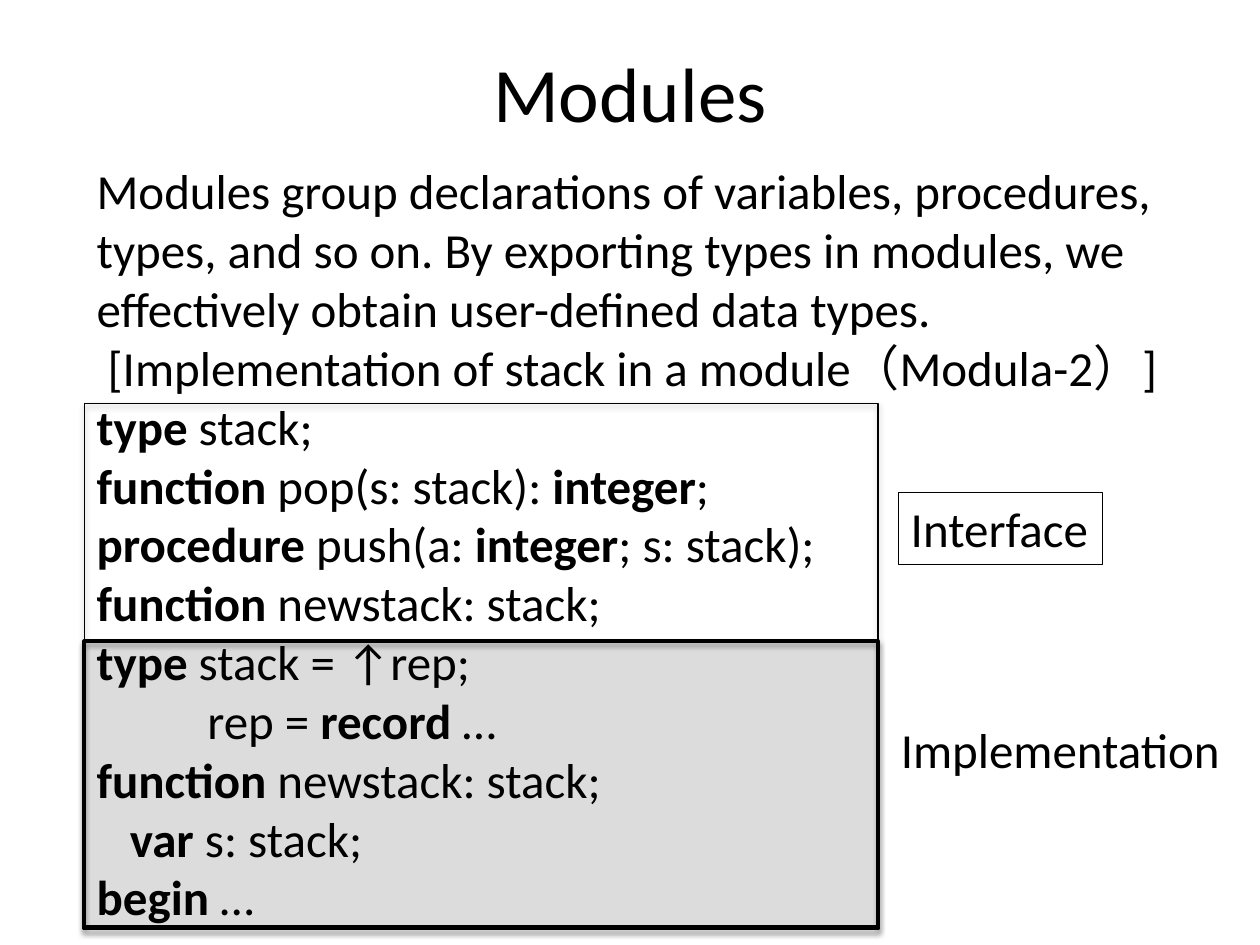
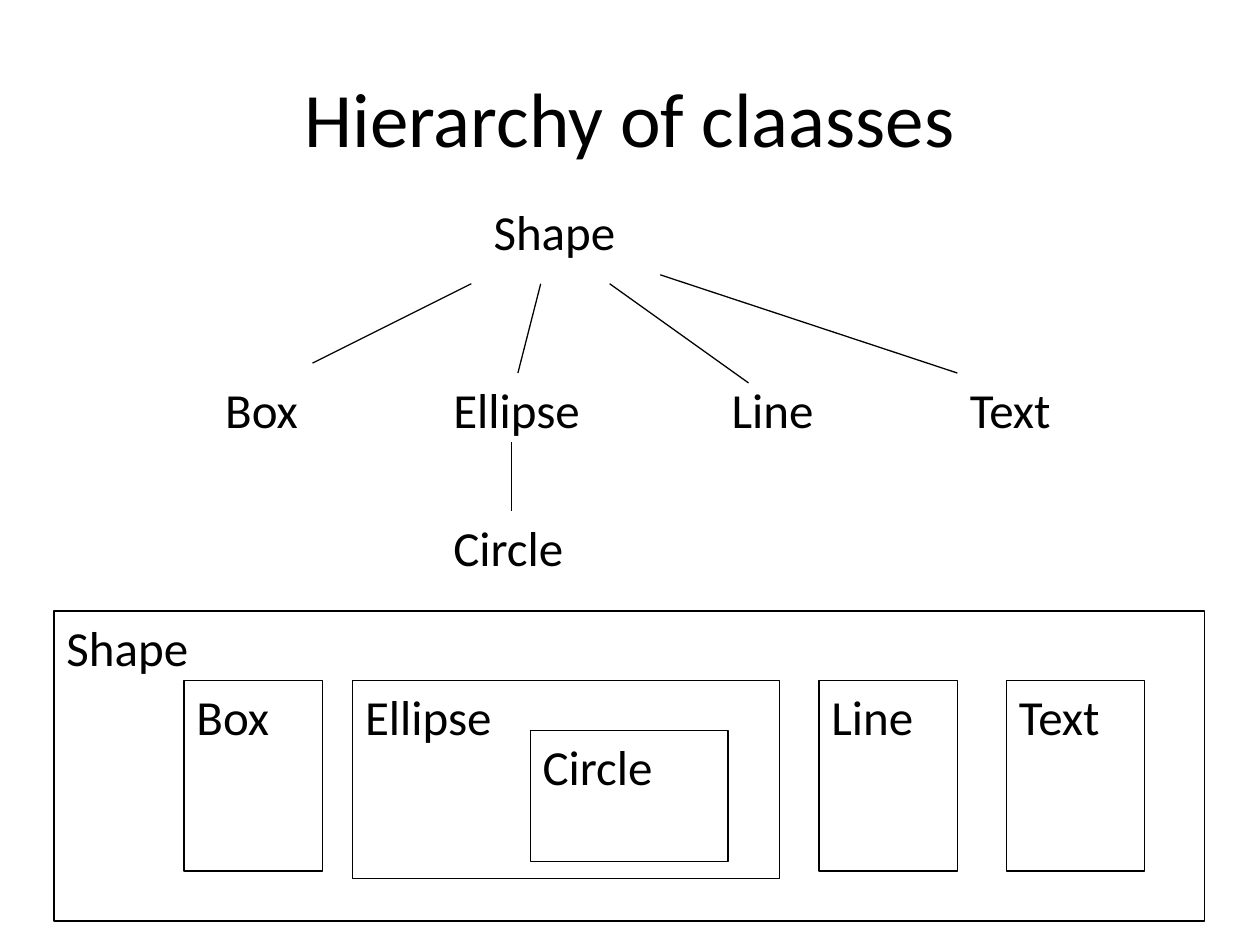
import lxml.etree
import pptx
import pptx.dml.color
import pptx.enum.shapes
import pptx.enum.text
import pptx.oxml
import pptx.oxml.ns
import pptx.util

Cm = pptx.util.Cm
Pt = pptx.util.Pt
COLORS = {"ink": "000000"}
INK = pptx.dml.color.RGBColor.from_string(COLORS["ink"])
FONT = "Calibri"
BODY_SIZE = Pt(28)
LABEL_HEIGHT = 1.45
RECTANGLE = pptx.enum.shapes.MSO_SHAPE.RECTANGLE

presentation = pptx.Presentation()
presentation.slide_width = Cm(25.4)
presentation.slide_height = Cm(19.05)


def add_titled_slide(title, height):
    slide = presentation.slides.add_slide(presentation.slide_layouts[5])
    shape = slide.shapes.title
    shape.left, shape.top, shape.width, shape.height = Cm(1.27), Cm(0.76), Cm(22.86), Cm(height)
    shape.text_frame.text = title
    shape.text_frame.vertical_anchor = pptx.enum.text.MSO_ANCHOR.MIDDLE
    paragraph = shape.text_frame.paragraphs[0]
    paragraph.alignment = pptx.enum.text.PP_ALIGN.CENTER
    paragraph.font.name, paragraph.font.size = FONT, Pt(44)
    paragraph.font.color.rgb = INK
    return slide


def add_box(slide, lines, left, top, width, height, line_width=None, wrap=True):
    """Text with **bold** spans; a line width makes it an outlined rectangle."""
    place = Cm(left), Cm(top), Cm(width), Cm(height)
    if line_width:
        shape = slide.shapes.add_shape(RECTANGLE, *place)
        shape.shadow.inherit = False
        shape.fill.background()
        shape.line.color.rgb = INK
        shape.line.width = Pt(line_width)
    else:
        shape = slide.shapes.add_textbox(*place)
    frame = shape.text_frame
    frame.word_wrap = wrap
    frame.vertical_anchor = pptx.enum.text.MSO_ANCHOR.TOP
    for index, line in enumerate(lines):
        paragraph = frame.add_paragraph() if index else frame.paragraphs[0]
        paragraph.alignment = pptx.enum.text.PP_ALIGN.LEFT
        paragraph.font.name, paragraph.font.size = FONT, BODY_SIZE
        paragraph.font.color.rgb = INK
        for part, text in enumerate(line.split("**")):
            if text:
                run = paragraph.add_run()
                run.text = text
                if part % 2:
                    run.font.bold = True
    return shape


# Slide 1: modules
slide = add_titled_slide("Modules", 2.16)
module_lines = [
    "Modules group declarations of variables, procedures, types, and so on. "
    "By exporting types in modules, we effectively obtain user-defined data types.",
    " [Implementation of stack in a module（Modula-2）]",
    "**type** stack;",
    "**function** pop(s: stack): **integer**;",
    "**procedure** push(a: **integer**; s: stack);",
    "**function **newstack: stack;",
    "**type** stack = ↑rep;",
    "          rep = **record** …",
    "**function **newstack: stack;",
    "   **var** s: stack;",
    "**begin** …",
]
add_box(slide, module_lines, 1.7, 3.12, 23.01, 15.82)

# Frames around the implementation and the whole module
implementation_frame = add_box(slide, [], 1.7, 12.93, 16, 5.79, 2.25)
module_frame = add_box(slide, [], 1.7, 8.13, 16, 10.54, 0.75)

implementation_frame.fill.solid()
implementation_frame.fill.fore_color.rgb = INK
fill_color = implementation_frame.fill._xPr.find(".//" + pptx.oxml.ns.qn("a:srgbClr"))
lxml.etree.SubElement(fill_color, pptx.oxml.ns.qn("a:alpha"), val="10000")

for frame_shape in (implementation_frame, module_frame):
    effects = frame_shape._element.spPr.find(pptx.oxml.ns.qn("a:effectLst"))
    effects.append(pptx.oxml.parse_xml(
        f'<a:outerShdw {pptx.oxml.ns.nsdecls("a")} blurRad="40000" dist="23000" '
        f'dir="5400000" rotWithShape="0"><a:srgbClr val="{COLORS["ink"]}">'
        '<a:alpha val="35000"/></a:srgbClr></a:outerShdw>'))

# Labels of the two parts
add_box(slide, ["Interface"], 18.11, 9.93, 4.11, LABEL_HEIGHT, 0.75, wrap=False)
add_box(slide, ["Implementation"], 17.91, 14.38, 7.01, LABEL_HEIGHT, wrap=False)

# Slide 2: class hierarchy
slide = add_titled_slide("Hierarchy of claasses", 3.18)

# Tree labels: name, left, top, width
tree_labels = {}
for name, left, top, width in [
    ("Shape", 9.7, 3.94, 3),
    ("Box", 4.29, 7.52, 2.01),
    ("Ellipse", 8.89, 7.52, 3.1),
    ("Line", 14.5, 7.52, 2.18),
    ("Text", 19.3, 7.52, 2.16),
    ("Circle", 8.89, 10.31, 2.74),
]:
    tree_labels[name] = add_box(slide, [name], left, top, width, LABEL_HEIGHT, wrap=False)

# Branches: child, start, end
for child, start_x, start_y, end_x, end_y in [
    ("Box", 9.5, 5.72, 6.3, 7.32),
    ("Ellipse", 10.9, 5.72, 10.44, 7.52),
    ("Line", 12.29, 5.72, 15.09, 7.72),
    ("Text", 13.31, 5.54, 19.3, 7.52),
    ("Circle", 10.31, 8.92, 10.31, 10.31),
]:
    branch = slide.shapes.add_connector(
        pptx.enum.shapes.MSO_CONNECTOR.STRAIGHT,
        Cm(start_x), Cm(start_y), Cm(end_x), Cm(end_y))
    branch.line.color.rgb = INK
    branch.line.width = Pt(0.75)
    lxml.etree.SubElement(branch._element.spPr, pptx.oxml.ns.qn("a:effectLst"))
    if child == "Ellipse":
        branch.end_connect(tree_labels[child], 0)

# Nested sets: name, left, top, width, height
for name, left, top, width, height in [
    ("Shape", 1.09, 12.32, 23.19, 6.25),
    ("Box", 3.71, 13.72, 2.79, 3.84),
    ("Ellipse", 7.11, 13.72, 8.61, 3.99),
    ("Line", 16.51, 13.72, 2.79, 3.84),
    ("Text", 20.29, 13.72, 2.79, 3.84),
    ("Circle", 10.69, 14.73, 3.99, 2.64),
]:
    add_box(slide, [name], left, top, width, height, 0.75)

presentation.save("out.pptx")
